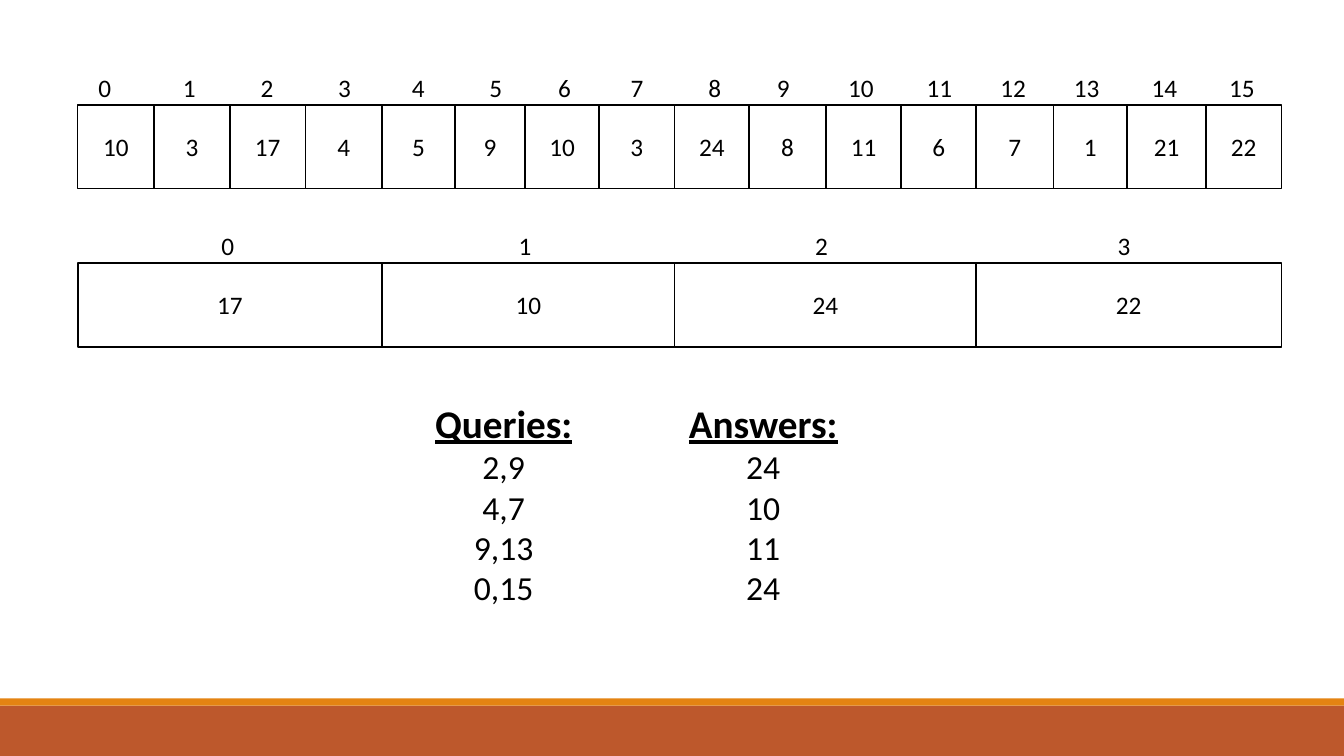
from lxml import etree
from pptx import Presentation
from pptx import util as u
from pptx.dml.color import RGBColor
from pptx.enum import shapes, text
from pptx.oxml import ns

BLACK = RGBColor(0, 0, 0)
WHITE = RGBColor(255, 255, 255)
RUST = RGBColor(0xBD, 0x58, 0x2C)
AMBER = RGBColor(0xE4, 0x83, 0x12)
WIDE, HIGH = 13.33, 7.5
INSET = 0.1

deck = Presentation()
deck.slide_width, deck.slide_height = u.Inches(WIDE), u.Inches(HIGH)
slide = deck.slides.add_slide(deck.slide_layouts[6])


def add_rect(left, top, width, height, fill):
    rect = slide.shapes.add_shape(
        shapes.MSO_SHAPE.RECTANGLE, *map(u.Inches, (left, top, width, height)))
    rect.shadow.inherit = False
    rect.fill.solid()
    rect.fill.fore_color.rgb = fill
    rect.line.fill.background()
    return rect


def add_run(para, words, size, bold=False):
    run = para.add_run()
    run.text = words
    font = run.font
    font.name, font.size, font.color.rgb = "Calibri", u.Pt(size), BLACK
    font.bold = font.underline = bold


# Footer bands
add_rect(0, 7, WIDE, 0.5, RUST)
add_rect(0, 6.93, WIDE, 0.07, AMBER)

# Array of values, and the maximum of each block of four
edges = [0.77, 1.53, 2.28, 3.03, 3.79, 4.51, 5.21, 5.94, 6.69,
         7.43, 8.19, 8.94, 9.68, 10.45, 11.18, 11.96, 12.71]
values = [10, 3, 17, 4, 5, 9, 10, 3, 24, 8, 11, 6, 7, 1, 21, 22]
maxima = [max(values[i:i + 4]) for i in range(0, 16, 4)]
marks = [1.04, 1.88, 2.65, 3.42, 4.15, 4.92, 5.6, 6.32,
         7.09, 7.77, 8.54, 9.32, 10.05, 10.78, 11.55, 12.32]
rows = [(1.04, edges, values, marks),
        (2.61, edges[::4], maxima, [2.26, 5.21, 8.15, 11.15])]

for top, sides, nums, stops in rows:
    for left, right, num in zip(sides, sides[1:], nums):
        cell = add_rect(left, top, right - left, 0.83, WHITE)
        cell.line.color.rgb = BLACK
        cell.line.width = u.Pt(1.25)
        frame = cell.text_frame
        frame.vertical_anchor = text.MSO_ANCHOR.MIDDLE
        para = frame.paragraphs[0]
        para.alignment = text.PP_ALIGN.CENTER
        add_run(para, str(num), 18)

    # Index labels on centred tab stops
    box = slide.shapes.add_textbox(
        *map(u.Inches, (edges[0], top - 0.37, edges[-1] - edges[0], 0.4)))
    box.text_frame.word_wrap = True
    para = box.text_frame.paragraphs[0]
    tabs = etree.SubElement(para._p.get_or_add_pPr(), ns.qn("a:tabLst"))
    for stop in stops:
        etree.SubElement(tabs, ns.qn("a:tab"), algn="ctr",
                         pos=str(u.Inches(stop - edges[0] - INSET)))
    add_run(para, "".join(f"\t{i}" for i in range(len(stops))), 18)

# Queries and their answers
lists = [(4.17, 1.65, ["Queries:", "2,9", "4,7", "9,13", "0,15"]),
         (6.71, 1.72, ["Answers:", "24", "10", "11", "24"])]
for left, width, lines in lists:
    box = slide.shapes.add_textbox(*map(u.Inches, (left, 3.91, width, 2.19)))
    frame = box.text_frame
    frame.word_wrap = True
    for i, line in enumerate(lines):
        para = frame.add_paragraph() if i else frame.paragraphs[0]
        para.alignment = text.PP_ALIGN.CENTER
        add_run(para, line, 24 if i else 28, bold=i == 0)

deck.save("out.pptx")
